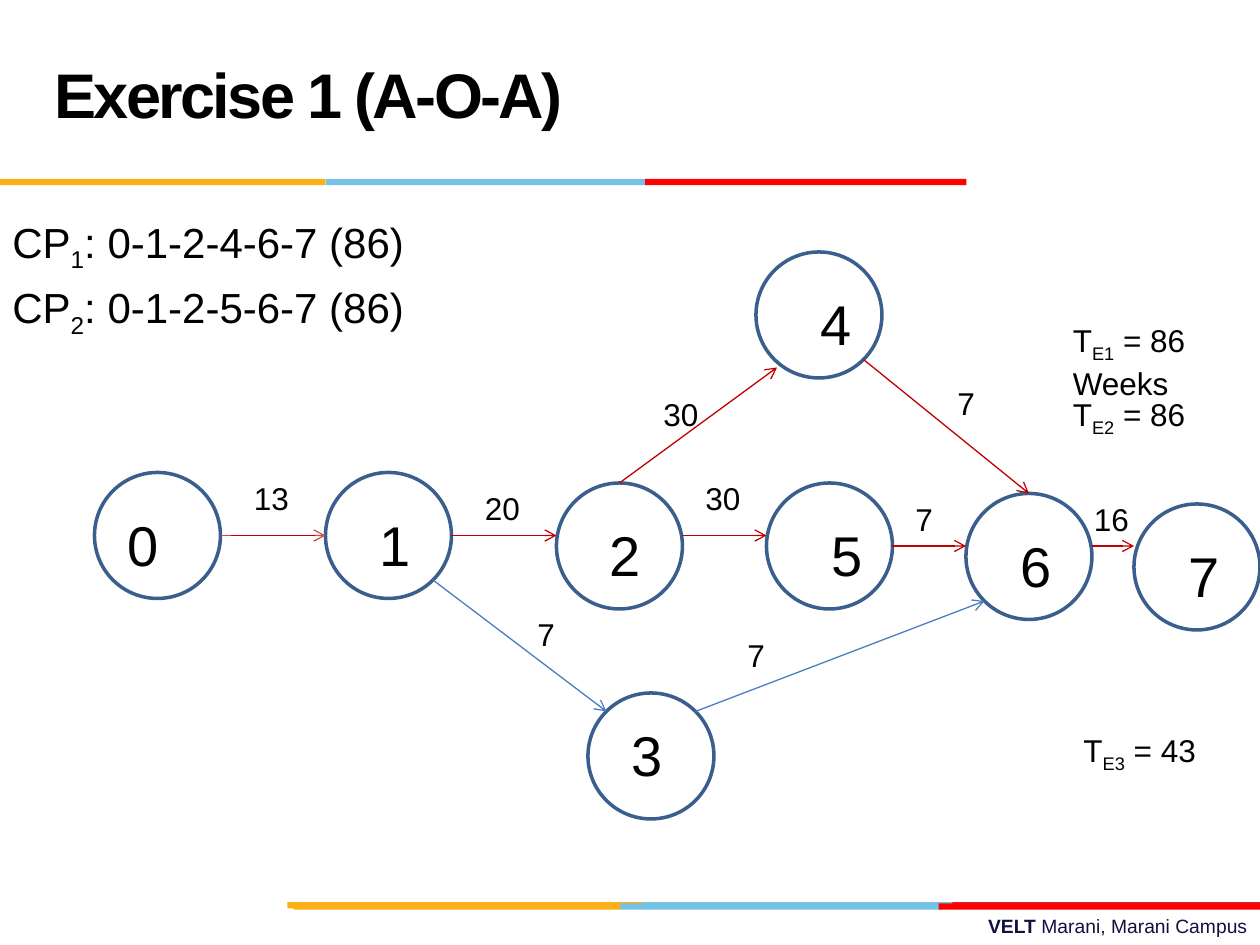
import dataclasses
import typing

import lxml.etree
import pptx
import pptx.dml.color
import pptx.enum.shapes
import pptx.enum.text
import pptx.oxml.ns
import pptx.util

Pt = pptx.util.Pt
Shape = pptx.enum.shapes.MSO_SHAPE
Align = pptx.enum.text.PP_ALIGN
Anchor = pptx.enum.text.MSO_ANCHOR


@dataclasses.dataclass(frozen=True)
class Theme:
    font: str = "Arial"
    text: str = "000000"
    footer: str = "101141"
    white: str = "FFFFFF"
    amber: str = "FCB017"
    blue: str = "76C2E5"
    red: str = "FF0000"
    dark_red: str = "E31C24"
    node: str = "3A5F8C"
    first_edge: str = "C0504D"
    critical: str = "C00000"
    slack: str = "4B7EBC"
    title_size: float = 36
    node_size: float = 32
    body_size: float = 24
    label_size: float = 18
    footer_size: float = 11
    node_line: float = 2
    edge_line: float = 0.75


THEME = Theme()
DIAMETER = 72
BAR_HEIGHT = 3.6


class Box(typing.NamedTuple):
    left: float
    top: float
    width: float
    height: float


class Run(typing.NamedTuple):
    text: str
    bold: bool = False
    subscript: bool = False
    spacing: float = 0


class Bar(typing.NamedTuple):
    left: float
    top: float
    width: float
    color: str


class Node(typing.NamedTuple):
    name: str
    left: float
    top: float
    text_left: float
    text_top: float
    text_width: float


class Edge(typing.NamedTuple):
    start: tuple[float, float]
    end: tuple[float, float]
    color: str
    arrow: bool = True


class Label(typing.NamedTuple):
    text: str
    left: float
    top: float
    width: float
    filled: bool = False


BARS = [
    Bar(364.3, 515.5, 183.6, THEME.blue),
    Bar(544.3, 515.5, 175.7, THEME.dark_red),
    Bar(164.2, 515.5, 203, THEME.amber),
    Bar(354.2, 516.2, 183.6, THEME.blue),
    Bar(167.8, 516.2, 186.4, THEME.amber),
    Bar(536.4, 516.2, 183.6, THEME.red),
    Bar(186, 102.2, 183.6, THEME.blue),
    Bar(0, 102.2, 186, THEME.amber),
    Bar(368.6, 102.2, 183.6, THEME.red),
]
NODES = [
    Node("0", 54, 270, 66, 288, 33),
    Node("1", 186, 270, 210, 288, 33),
    Node("2", 318, 276, 341, 294, 33),
    Node("5", 438, 276, 468, 294, 33),
    Node("6", 552, 282, 576, 300, 33),
    Node("7", 648, 288, 672, 306, 38),
    Node("4", 432, 144, 462, 162, 33),
    Node("3", 336, 396, 354, 408, 45),
]
EDGES = [
    Edge((126, 306), (186, 306), THEME.first_edge),
    Edge((258, 306), (318, 306), THEME.critical),
    Edge((390, 306), (438, 306), THEME.critical),
    Edge((510, 312), (552, 312), THEME.critical),
    Edge((624, 312), (648, 312), THEME.critical),
    Edge((354, 276), (444, 210), THEME.critical),
    Edge((493.46, 205.46), (588, 282), THEME.critical),
    Edge((247.46, 331.46), (346.54, 406.54), THEME.slack),
    Edge((397.46, 406.54), (562.54, 343.46), THEME.slack),
    Edge((132, 306), (180, 306), THEME.critical, arrow=False),
]
LABELS = [
    Label("13", 138, 270, 42),
    Label("20", 270, 276, 36),
    Label("30", 372, 222, 38),
    Label("7", 540, 216, 26),
    Label("30", 396, 270, 38, filled=True),
    Label("7", 516, 282, 27),
    Label("7", 300, 348, 36),
    Label("7", 420, 360, 56),
    Label("16", 618, 282, 42),
]
DURATIONS = [
    ("E1", " = 86 Weeks", Box(606, 180, 102, 51)),
    ("E2", " = 86", Box(606, 222, 114, 29)),
    ("E3", " = 43", Box(612, 414, 90, 51)),
]


def rgb(color: str) -> pptx.dml.color.RGBColor:
    return pptx.dml.color.RGBColor.from_string(color)


def add_runs(paragraph, runs: list[Run], size: float, color: str) -> None:
    for item in runs:
        run = paragraph.add_run()
        run.text = item.text
        run.font.name = THEME.font
        run.font.size = Pt(size)
        run.font.bold = item.bold
        run.font.color.rgb = rgb(color)
        properties = run._r.get_or_add_rPr()
        if item.subscript:
            properties.set("baseline", "-25000")
        if item.spacing:
            properties.set("spc", str(round(item.spacing * 100)))


def add_text(slide, box: Box, paragraphs: list[list[Run]], size: float, color: str = THEME.text):
    shape = slide.shapes.add_textbox(*map(Pt, box))
    frame = shape.text_frame
    frame.word_wrap = True
    for index, runs in enumerate(paragraphs):
        paragraph = frame.add_paragraph() if index else frame.paragraphs[0]
        add_runs(paragraph, runs, size, color)
    return frame


def add_bar(slide, bar: Bar) -> None:
    box = Box(bar.left, bar.top, bar.width, BAR_HEIGHT)
    shape = slide.shapes.add_shape(Shape.RECTANGLE, *map(Pt, box))
    shape.shadow.inherit = False
    shape.fill.solid()
    shape.fill.fore_color.rgb = rgb(bar.color)
    shape.line.fill.background()


def add_node(slide, node: Node) -> None:
    box = Box(node.left, node.top, DIAMETER, DIAMETER)
    shape = slide.shapes.add_shape(Shape.OVAL, *map(Pt, box))
    shape.shadow.inherit = False
    shape.fill.background()
    shape.line.color.rgb = rgb(THEME.node)
    shape.line.width = Pt(THEME.node_line)


def add_edge(slide, edge: Edge) -> None:
    connector = slide.shapes.add_connector(
        pptx.enum.shapes.MSO_CONNECTOR.STRAIGHT, *map(Pt, edge.start + edge.end)
    )
    connector.line.color.rgb = rgb(edge.color)
    connector.line.width = Pt(THEME.edge_line)
    if edge.arrow:
        line = connector.line._get_or_add_ln()
        lxml.etree.SubElement(line, pptx.oxml.ns.qn("a:tailEnd"), type="arrow")
    lxml.etree.SubElement(connector._element.spPr, pptx.oxml.ns.qn("a:effectLst"))


def add_label(slide, label: Label) -> None:
    box = Box(label.left, label.top, label.width, 29)
    if not label.filled:
        add_text(slide, box, [[Run(label.text)]], THEME.label_size)
        return
    shape = slide.shapes.add_shape(Shape.RECTANGLE, *map(Pt, box))
    shape.shadow.inherit = False
    shape.fill.solid()
    shape.fill.fore_color.rgb = rgb(THEME.white)
    shape.line.color.rgb = rgb(THEME.white)
    shape.line.width = Pt(THEME.edge_line)
    shape.text_frame.vertical_anchor = Anchor.TOP
    paragraph = shape.text_frame.paragraphs[0]
    paragraph.alignment = Align.LEFT
    add_runs(paragraph, [Run(label.text)], THEME.label_size, THEME.text)


def add_headings(slide) -> None:
    footer = [Run("VELT ", bold=True), Run("Marani, Marani Campus")]
    frame = add_text(slide, Box(258, 519, 462, 21), [footer], THEME.footer_size, THEME.footer)
    frame.paragraphs[0].alignment = Align.RIGHT

    critical_paths = [
        [Run("CP"), Run(number, subscript=True), Run(f": {route} (86)")]
        for number, route in (("1", "0-1-2-4-6-7"), ("2", "0-1-2-5-6-7"))
    ]
    frame = add_text(slide, Box(0, 120, 720, 390), critical_paths, THEME.body_size)
    for paragraph in frame.paragraphs:
        paragraph.space_before = Pt(4.8)

    title = [Run("Exercise 1 (A-O-A)", bold=True, spacing=-1.5)]
    frame = add_text(slide, Box(24, 12, 498, 90), [title], THEME.title_size)
    frame.vertical_anchor = Anchor.MIDDLE
    frame.paragraphs[0].line_spacing = Pt(36)


def main() -> None:
    presentation = pptx.Presentation()
    presentation.slide_width, presentation.slide_height = Pt(720), Pt(540)
    slide = presentation.slides.add_slide(presentation.slide_layouts[6])
    for bar in BARS:
        add_bar(slide, bar)
    add_headings(slide)
    for node in NODES:
        add_node(slide, node)
    for edge in EDGES[:-1]:
        add_edge(slide, edge)
    for node in NODES:
        box = Box(node.text_left, node.text_top, node.text_width, 46)
        add_text(slide, box, [[Run(node.name)]], THEME.node_size)
    for label in LABELS:
        add_label(slide, label)
    add_edge(slide, EDGES[-1])
    for subscript, value, box in DURATIONS:
        runs = [Run("T"), Run(subscript, subscript=True), Run(value)]
        add_text(slide, box, [runs], THEME.label_size)
    presentation.save("out.pptx")


if __name__ == "__main__":
    main()
